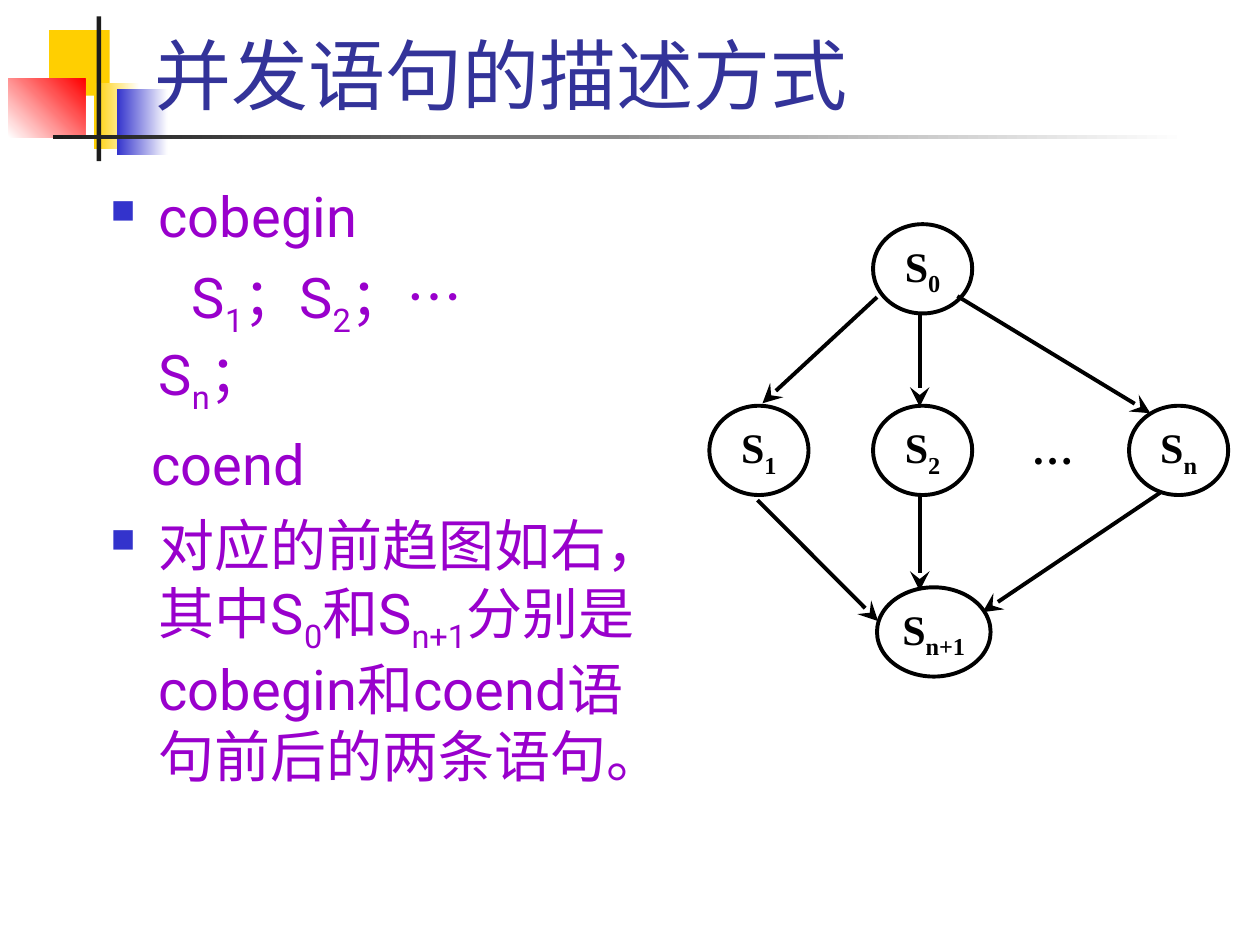
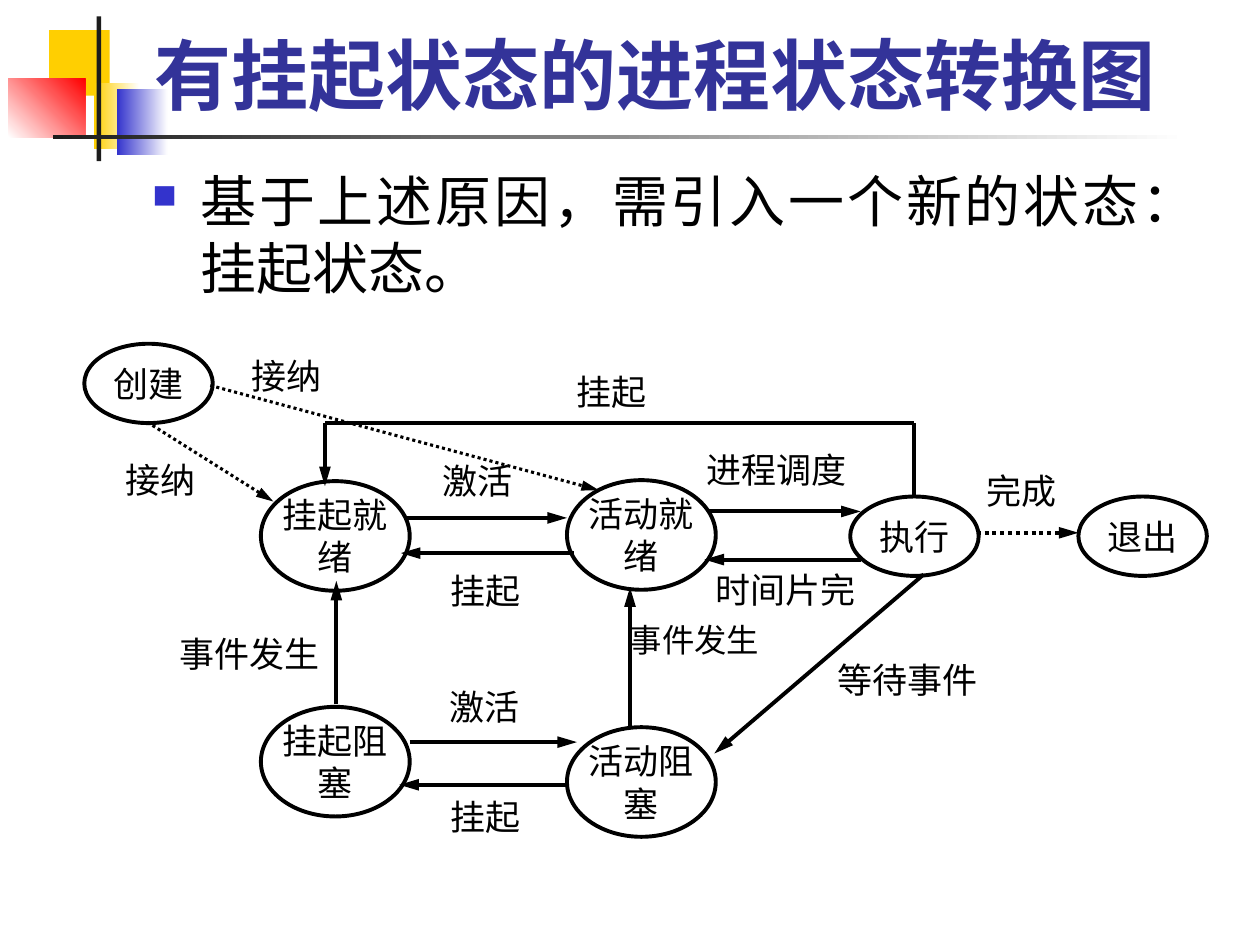
"""Builds two slides on concurrent statements and on process states with suspension."""
from dataclasses import dataclass

import pptx
import pptx.dml.color
import pptx.enum.dml
import pptx.enum.shapes
import pptx.enum.text
import pptx.oxml
import pptx.oxml.ns
import pptx.util
from pptx.util import Cm

SHAPE = pptx.enum.shapes.MSO_SHAPE
ALIGN = pptx.enum.text.PP_ALIGN
ANCHOR = pptx.enum.text.MSO_ANCHOR


@dataclass(frozen=True)
class Theme:
    """Colours, fonts and type sizes shared by the slides."""

    black: str = "000000"
    white: str = "FFFFFF"
    title: str = "333399"
    purple: str = "9900CC"
    blue: str = "3333CC"
    yellow: str = "FFCF01"
    red: str = "FF0000"
    bar: str = "1C1C1C"
    sans: str = "Roboto"
    serif: str = "Times New Roman"
    title_size: float = 44
    body_size: float = 32
    graph_size: float = 24
    state_size: float = 20
    small_size: float = 18.5
    line: float = 2.25
    fine_line: float = 1.75


THEME = Theme()


def rgb(code):
    """Turn a hex code into a colour."""
    return pptx.dml.color.RGBColor.from_string(code)


def add_child(parent, tag, **attributes):
    """Append a drawing element with the given attributes."""
    child = pptx.oxml.parse_xml(f"<a:{tag} {pptx.oxml.ns.nsdecls('a')}/>")
    for name, value in attributes.items():
        child.set(name, value)
    parent.append(child)
    return child


def add_bullet(para):
    """Give a paragraph the small square bullet."""
    properties = para._p.get_or_add_pPr()
    add_child(add_child(properties, "buClr"), "srgbClr", val=THEME.blue)
    add_child(properties, "buSzPct", val="60000")
    add_child(properties, "buChar", char="■")


def write(para, text, size=THEME.state_size, font=THEME.serif, color=THEME.black,
          bold=False, align=ALIGN.LEFT, bullet=False, margin=0, indent=0, before=0):
    """Fill a paragraph; tildes enclose subscripts and newlines break lines."""
    if bullet:
        add_bullet(para)
    properties = para._p.get_or_add_pPr()
    properties.set("marL", str(Cm(margin)))
    properties.set("indent", str(Cm(indent)))
    para.alignment = align
    para.space_before = pptx.util.Pt(before)
    for row, line in enumerate(text.split("\n")):
        if row:
            para.add_line_break()
        for order, piece in enumerate(line.split("~")):
            if not piece:
                continue
            span = para.add_run()
            span.text = piece
            span.font.size = pptx.util.Pt(size)
            span.font.name = font
            span.font.bold = bold
            span.font.color.rgb = rgb(color)
            if order % 2:
                span._r.get_or_add_rPr().set("baseline", "-25000")


def set_frame(frame, anchor, left=0, top=0, right=0, bottom=0):
    """Set wrapping, anchor and insets of a text frame."""
    frame.word_wrap = True
    frame.vertical_anchor = anchor
    frame.margin_left, frame.margin_top = Cm(left), Cm(top)
    frame.margin_right, frame.margin_bottom = Cm(right), Cm(bottom)


def add_rectangle(page, place, color, end_color=None, angle=0):
    """Draw a plain or two-colour rectangle without outline."""
    box = page.shapes.add_shape(SHAPE.RECTANGLE, *map(Cm, place))
    box.shadow.inherit = False
    box.line.fill.background()
    if end_color is None:
        box.fill.solid()
        box.fill.fore_color.rgb = rgb(color)
        return
    box.fill.gradient()
    box.fill.gradient_angle = angle
    for stop, code in zip(box.fill.gradient_stops, (color, end_color)):
        stop.color.rgb = rgb(code)


def add_ornament(page):
    """Draw the coloured squares and the two crossing bars."""
    add_rectangle(page, (0.99, 0.61, 1.22, 1.32), THEME.yellow)
    add_rectangle(page, (1.9, 1.68, 0.91, 1.32), THEME.yellow, THEME.white)
    add_rectangle(page, (2.36, 1.8, 1.02, 1.32), THEME.blue, THEME.white)
    add_rectangle(page, (0.17, 1.59, 1.55, 1.18), THEME.white, THEME.red, 45)
    add_rectangle(page, (1.95, 0.33, 0.09, 2.92), THEME.bar)
    add_rectangle(page, (1.06, 2.72, 22.86, 0.08), THEME.bar, THEME.white)


def add_text(page, place, anchor=ANCHOR.TOP, inset=(0, 0), paragraphs=(), **style):
    """Add a text box; each paragraph is its text and its own format."""
    box = page.shapes.add_textbox(*map(Cm, place))
    frame = box.text_frame
    set_frame(frame, anchor, *inset, *inset)
    for order, (text, extra) in enumerate(paragraphs):
        para = frame.add_paragraph() if order else frame.paragraphs[0]
        write(para, text, **{**style, **extra})


def add_page(deck, title, bold=False):
    """Add a slide with the shared ornament and title."""
    page = deck.slides.add_slide(deck.slide_layouts[6])
    add_ornament(page)
    add_text(page, (2.87, 0.36, 21.64, 2.18), ANCHOR.BOTTOM, (0.25, 0.13),
             [(title, {})], size=THEME.title_size, font=THEME.sans,
             color=THEME.title, bold=bold)
    return page


def add_body(page, place, paragraphs, **style):
    """Add the main text of a slide."""
    add_text(page, place, inset=(0.25, 0.13), paragraphs=paragraphs,
             size=THEME.body_size, font=THEME.sans, **style)


def add_node(page, text, place, top=0, **style):
    """Draw an outlined ellipse with centred text."""
    node = page.shapes.add_shape(SHAPE.OVAL, *map(Cm, place))
    node.shadow.inherit = False
    node.fill.solid()
    node.fill.fore_color.rgb = rgb(THEME.white)
    node.line.color.rgb = rgb(THEME.black)
    node.line.width = pptx.util.Pt(THEME.line)
    set_frame(node.text_frame, ANCHOR.MIDDLE, top=top, bottom=top)
    write(node.text_frame.paragraphs[0], text, align=ALIGN.CENTER, **style)


def add_line(page, ends, head="triangle", head_width="med", width=THEME.line,
             dotted=False):
    """Draw a straight line with an optional arrowhead at its end."""
    line = page.shapes.add_connector(
        pptx.enum.shapes.MSO_CONNECTOR.STRAIGHT, *map(Cm, ends))
    line.line.color.rgb = rgb(THEME.black)
    line.line.width = pptx.util.Pt(width)
    if dotted:
        line.line.dash_style = pptx.enum.dml.MSO_LINE.ROUND_DOT
    if head:
        add_child(line.line._get_or_add_ln(), "tailEnd", type=head,
                  w=head_width, len="lg")
    add_child(line._element.spPr, "effectLst")


def add_label(page, text, left, top, size=THEME.state_size):
    """Write a label whose width follows from its length."""
    add_text(page, (left, top, 0.75 * len(text), 0.9),
             paragraphs=[(text, {})], size=size)


def build_concurrent_page(deck):
    """Build the slide on concurrent statements and their precedence graph."""
    page = add_page(deck, "并发语句的描述方式")
    bullet = dict(bullet=True, margin=0.97, indent=-0.97)
    add_body(page, (1.98, 3.53, 11.1, 13), [
        ("cobegin", bullet),
        ("S~1~；S~2~；…\nS~n~；", dict(margin=0.97, indent=0.67, before=8)),
        ("coend", dict(margin=0.82, before=8)),
        ("对应的前趋图如右，其中S~0~和S~n+1~分别是cobegin和coend语句前后的两条语句。",
         dict(bullet, before=8)),
    ], color=THEME.purple)

    first_row, row_step = 4.52, 3.66
    graph_text = dict(size=THEME.graph_size, bold=True)
    nodes = [("S~0~", 17.6, 0, 2), ("S~1~", 14.3, 1, 2), ("S~2~", 17.6, 1, 2),
             ("S~n~", 22.76, 1, 2), ("S~n+1~", 17.68, 2, 2.29)]
    arrows = [
        (19.3, 5.97, 23.19, 8.33), (15.27, 10.08, 17.7, 12.52),
        (17.68, 5.99, 15.37, 8.13), (18.54, 9.96, 18.54, 11.91),
        (18.54, 6.35, 18.54, 8.2), (23.39, 9.93, 19.81, 12.34),
    ]
    for text, left, row, width in nodes[:-1]:
        add_node(page, text, (left, first_row + row * row_step, width, 1.8), **graph_text)
    add_text(page, (20.22, 8.13, 2, 1.8), ANCHOR.MIDDLE,
             paragraphs=[("…", {})], align=ALIGN.CENTER, **graph_text)
    for ends in arrows:
        add_line(page, ends, "stealth", "lg")
    text, left, row, width = nodes[-1]
    add_node(page, text, (left, first_row + row * row_step, width, 1.8), **graph_text)


def build_suspend_page(deck):
    """Build the slide with the state diagram that includes suspension."""
    page = add_page(deck, "有挂起状态的进程状态转换图", bold=True)
    add_body(page, (2.82, 3.23, 21.59, 3.99), [
        ("基于上述原因，需引入一个新的状态：挂起状态。", {}),
    ], bullet=True, margin=0.97, indent=-0.97, align=ALIGN.JUSTIFY)

    for text, left, top in [("创建", 1.7, 6.93), ("执行", 17.14, 10.01),
                            ("退出", 21.74, 10.01)]:
        add_node(page, text, (left, top, 2.59, 1.6), top=0.1)
    for text, left, top in [("挂起就绪", 5.26, 9.7), ("活动就绪", 11.43, 9.68),
                            ("挂起阻塞", 5.26, 14.25), ("活动阻塞", 11.43, 14.66)]:
        add_node(page, text, (left, top, 3, 2.21))

    for ends in [
        (14.3, 10.31, 17.35, 10.31), (17.35, 11.28, 14.2, 11.28),
        (8.18, 10.44, 11.43, 10.44), (11.58, 11.15, 8.08, 11.15),
        (8.26, 14.96, 11.63, 14.96), (11.43, 15.82, 8.05, 15.82),
        (6.78, 14.2, 6.78, 11.71), (12.7, 14.66, 12.7, 11.84),
        (18.62, 11.58, 14.4, 15.19), (6.55, 8.53, 6.55, 9.8),
    ]:
        add_line(page, ends)
    for ends in [(18.42, 10.01, 18.42, 8.53), (18.42, 8.53, 6.55, 8.53)]:
        add_line(page, ends, head=None)
    add_line(page, (19.69, 10.74, 21.74, 10.74), dotted=True)
    for ends in [(2.97, 8.51, 5.51, 10.11), (4.24, 7.77, 12.07, 9.88)]:
        add_line(page, ends, width=THEME.fine_line, dotted=True)

    for text, left, top in [
        ("接纳", 5.08, 7.14), ("接纳", 2.54, 9.25), ("完成", 19.89, 9.47),
        ("挂起", 11.63, 7.47), ("挂起", 9.09, 11.48), ("挂起", 9.09, 16.03),
        ("激活", 8.92, 9.27), ("激活", 9.07, 13.82), ("进程调度", 14.25, 9.04),
        ("时间片完", 14.43, 11.46), ("等待事件", 16.89, 13.28),
        ("事件发生", 3.61, 12.75),
    ]:
        add_label(page, text, left, top)
    add_label(page, "事件发生", 12.7, 12.5, THEME.small_size)


def main():
    """Build the deck and save it."""
    deck = pptx.Presentation()
    deck.slide_width, deck.slide_height = Cm(25.4), Cm(19.05)
    build_concurrent_page(deck)
    build_suspend_page(deck)
    deck.save("out.pptx")


if __name__ == "__main__":
    main()
